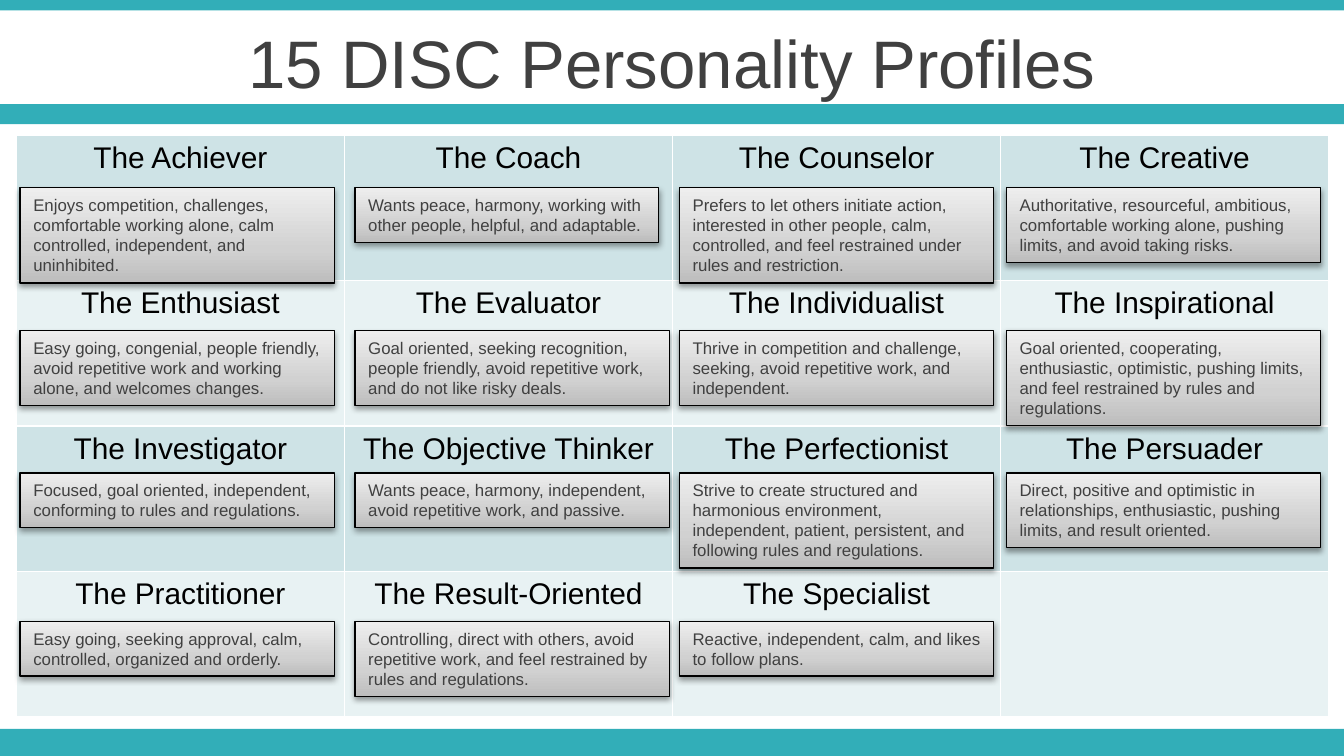
from copy import deepcopy

from pptx import Presentation
from pptx.dml.color import RGBColor
from pptx.enum.shapes import MSO_SHAPE
from pptx.enum.text import MSO_ANCHOR as ANCHOR, MSO_AUTO_SIZE as AUTO, PP_ALIGN as ALIGN
from pptx.oxml import parse_xml
from pptx.oxml.ns import nsdecls, qn
from pptx.util import Cm, Pt

TEAL = RGBColor(0x32, 0xAE, 0xB8)
BANDS = [RGBColor(0xCE, 0xE3, 0xE6), RGBColor(0xE8, 0xF2, 0xF3)]
BLACK = RGBColor(0, 0, 0)
GREY = RGBColor(0x40, 0x40, 0x40)
GRADIENT = [(0, RGBColor(0xBD, 0xBD, 0xBD)), (0.35, RGBColor(0xD1, 0xD1, 0xD1)),
            (1, RGBColor(0xEE, 0xEE, 0xEE))]

# Name, number of text lines, description
PROFILES = [
    ("The Achiever", 4, "Enjoys competition, challenges, comfortable working alone, calm "
     "controlled, independent, and uninhibited."),
    ("The Coach", 2, "Wants peace, harmony, working with other people, helpful, and adaptable."),
    ("The Counselor", 4, "Prefers to let others initiate action, interested in other people, "
     "calm, controlled, and feel restrained under rules and restriction."),
    ("The Creative", 3, "Authoritative, resourceful, ambitious, comfortable working alone, "
     "pushing limits, and avoid taking risks."),
    ("The Enthusiast", 3, "Easy going, congenial, people friendly, avoid repetitive work and "
     "working alone, and welcomes changes."),
    ("The Evaluator", 3, "Goal oriented, seeking recognition, people friendly, avoid "
     "repetitive work, and do not like risky deals."),
    ("The Individualist", 3, "Thrive in competition and challenge, seeking, avoid repetitive "
     "work, and independent."),
    ("The Inspirational", 4, "Goal oriented, cooperating, enthusiastic, optimistic, pushing "
     "limits, and feel restrained by rules and regulations."),
    ("The Investigator", 2, "Focused, goal oriented, independent, conforming to rules and "
     "regulations."),
    ("The Objective Thinker", 2, "Wants peace, harmony, independent, avoid repetitive work, "
     "and passive."),
    ("The Perfectionist", 4, "Strive to create structured and harmonious environment, "
     "independent, patient, persistent, and following rules and regulations."),
    ("The Persuader", 3, "Direct, positive and optimistic in relationships, enthusiastic, "
     "pushing limits, and result oriented."),
    ("The Practitioner", 2, "Easy going, seeking approval, calm, controlled, organized and "
     "orderly."),
    ("The Result-Oriented", 3, "Controlling, direct with others, avoid repetitive work, and "
     "feel restrained by rules and regulations."),
    ("The Specialist", 2, "Reactive, independent, calm, and likes to follow plans."),
]
BOX_LEFTS = [0.38, 6.71, 12.84, 19.02]
BOX_TOPS = [3.55, 6.25, 8.94, 11.75]


def add_text(tf, text, size, color, align):
    p = tf.paragraphs[0]
    p.alignment = align
    r = p.add_run()
    r.text = text
    r.font.name = "Arial"
    r.font.size = Pt(size)
    r.font.color.rgb = color


prs = Presentation()
prs.slide_width, prs.slide_height = Cm(25.4), Cm(14.29)
s = prs.slides.add_slide(prs.slide_layouts[6])

# Teal bars
for top, height in [(13.78, 0.51), (0, 0.2), (1.97, 0.38)]:
    sp = s.shapes.add_shape(MSO_SHAPE.RECTANGLE, 0, Cm(top), prs.slide_width, Cm(height))
    sp.shadow.inherit = False
    sp.fill.solid()
    sp.fill.fore_color.rgb = TEAL
    sp.line.fill.background()

# Title
tf = s.shapes.add_textbox(0, Cm(0.36), prs.slide_width, Cm(1.6)).text_frame
tf.word_wrap = True
tf.vertical_anchor = ANCHOR.MIDDLE
add_text(tf, "15 DISC Personality Profiles", 36, GREY, ALIGN.CENTER)

# Table of profile names
table = s.shapes.add_table(4, 4, Cm(0.31), Cm(2.55), Cm(24.8), Cm(11)).table
table.first_row = table.horz_banding = False
for i, cell in enumerate(table.iter_cells()):
    cell.fill.solid()
    cell.fill.fore_color.rgb = BANDS[i // 4 % 2]
    for n, side in enumerate(["lnL", "lnR", "lnT", "lnB"]):
        cell._tc.tcPr.insert(n, parse_xml(
            f'<a:{side} {nsdecls("a")} w="12700"><a:solidFill><a:srgbClr val="FFFFFF"/>'
            f'</a:solidFill></a:{side}>'))
    if i < len(PROFILES):
        add_text(cell.text_frame, PROFILES[i][0], 16, BLACK, ALIGN.CENTER)

# Description boxes
for i, (name, lines, description) in enumerate(PROFILES):
    row, col = divmod(i, 4)
    width = 5.74 if name == "The Coach" else 5.94
    sp = s.shapes.add_shape(MSO_SHAPE.RECTANGLE, Cm(BOX_LEFTS[col]), Cm(BOX_TOPS[row]),
                            Cm(width), Cm(0.26 + 0.385 * lines))
    sp.line.color.rgb = BLACK
    sp.line.width = Pt(0.75)

    # Three-stop gradient, dark at the bottom
    sp.fill.gradient()
    sp.fill.gradient_angle = 90
    stops = sp._element.spPr.find(qn("a:gradFill")).find(qn("a:gsLst"))
    stops.append(deepcopy(stops[0]))
    for stop, (position, color) in zip(sp.fill.gradient_stops, GRADIENT):
        stop.position = position
        stop.color.rgb = color

    # Soft shadow below
    sp.shadow.inherit = False
    sp._element.spPr.find(qn("a:effectLst")).append(parse_xml(
        f'<a:outerShdw {nsdecls("a")} blurRad="40000" dist="20000" dir="5400000" '
        'rotWithShape="0"><a:srgbClr val="000000"><a:alpha val="38000"/></a:srgbClr>'
        '</a:outerShdw>'))

    tf = sp.text_frame
    tf.word_wrap = True
    tf.auto_size = AUTO.SHAPE_TO_FIT_TEXT
    tf.vertical_anchor = ANCHOR.TOP
    add_text(tf, description, 9, GREY, ALIGN.LEFT)

prs.save("out.pptx")
